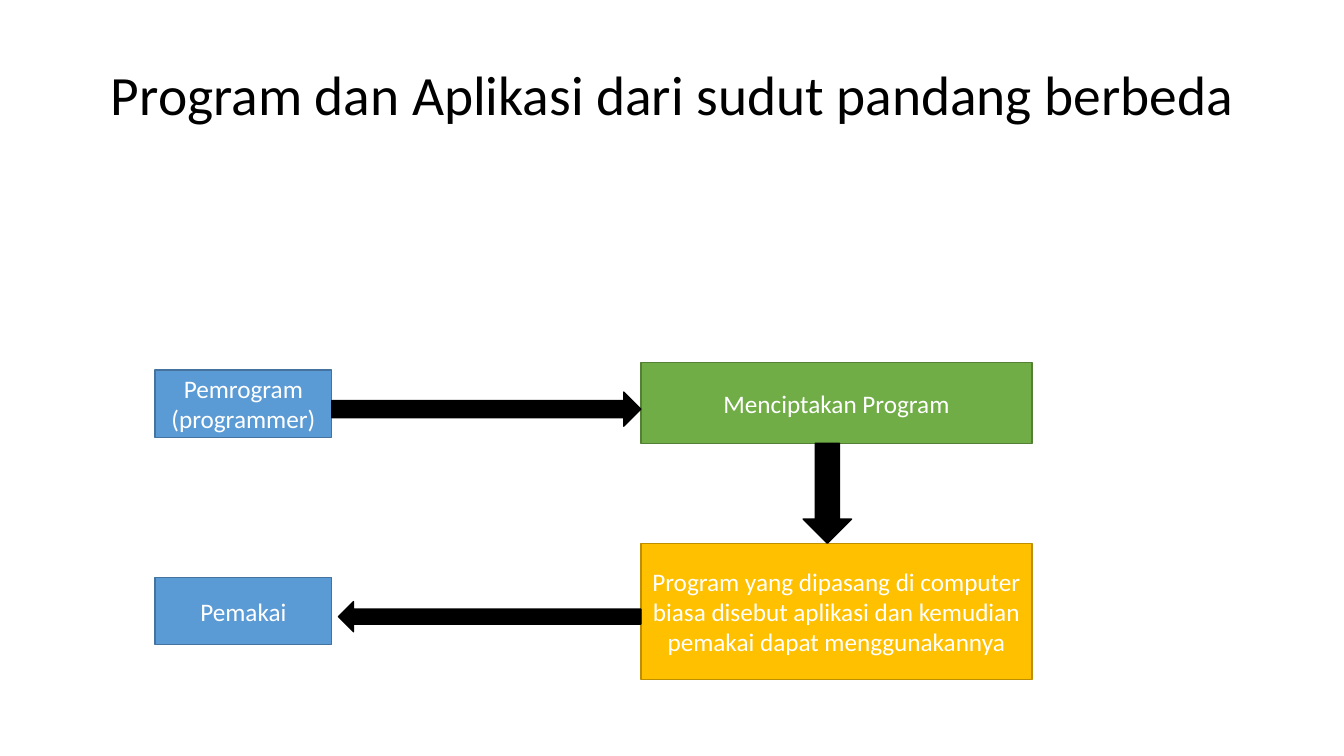
from dataclasses import dataclass

from pptx import Presentation
from pptx.dml.color import RGBColor
from pptx.enum.shapes import MSO_SHAPE
from pptx.enum.text import MSO_ANCHOR, PP_ALIGN
from pptx.shapes.autoshape import Shape
from pptx.slide import Slide
from pptx.text.text import TextFrame
from pptx.util import Cm, Pt


@dataclass(frozen=True)
class Theme:
    font: str = "Calibri"
    title_size: float = 39.6
    body_size: float = 18
    line_width: float = 1
    black: str = "000000"
    white: str = "FFFFFF"
    blue: str = "5B9BD5"
    blue_line: str = "43739E"
    green: str = "70AD47"
    green_line: str = "538035"
    gold: str = "FFC000"
    gold_line: str = "BD8E00"


@dataclass(frozen=True)
class Area:
    """A rectangle on the slide, in centimetres."""
    left: float
    top: float
    width: float
    height: float

    @property
    def right(self) -> float:
        return self.left + self.width

    @property
    def bottom(self) -> float:
        return self.top + self.height

    def lengths(self) -> tuple[Cm, Cm, Cm, Cm]:
        return Cm(self.left), Cm(self.top), Cm(self.width), Cm(self.height)


@dataclass(frozen=True)
class Box:
    text: str
    area: Area
    fill: str
    line: str


@dataclass(frozen=True)
class Arrow:
    kind: MSO_SHAPE
    area: Area


THEME = Theme()
TITLE_AREA = Area(2.34, 1.02, 29.21, 2.9)

PROGRAMMER = Area(3.91, 9.32, 4.45, 1.7)
USER = Area(3.91, 14.55, 4.45, 1.7)
CREATION = Area(16.15, 9.14, 9.86, 2.03)
APPLICATION = Area(16.15, 13.69, 9.86, 3.43)
USER_GAP = 0.17

BOXES = [
    Box("Pemrogram (programmer)", PROGRAMMER, THEME.blue, THEME.blue_line),
    Box("Menciptakan Program", CREATION, THEME.green, THEME.green_line),
    Box("Program yang dipasang di computer biasa disebut aplikasi "
        "dan kemudian pemakai dapat menggunakannya",
        APPLICATION, THEME.gold, THEME.gold_line),
    Box("Pemakai", USER, THEME.blue, THEME.blue_line),
]

ARROWS = [
    Arrow(MSO_SHAPE.RIGHT_ARROW,
          Area(PROGRAMMER.right, 9.88, CREATION.left - PROGRAMMER.right, 0.86)),
    Arrow(MSO_SHAPE.DOWN_ARROW,
          Area(20.24, CREATION.bottom, 1.22, APPLICATION.top - CREATION.bottom)),
    Arrow(MSO_SHAPE.LEFT_ARROW,
          Area(USER.right + USER_GAP, 15.16,
               APPLICATION.left - USER.right - USER_GAP, 0.76)),
]


def write_centred(frame: TextFrame, text: str, size: float, color: str,
                  line_spacing: float = 1.0) -> None:
    frame.word_wrap = True
    frame.vertical_anchor = MSO_ANCHOR.MIDDLE
    paragraph = frame.paragraphs[0]
    paragraph.alignment = PP_ALIGN.CENTER
    paragraph.line_spacing = line_spacing
    run = paragraph.add_run()
    run.text = text
    run.font.name = THEME.font
    run.font.size = Pt(size)
    run.font.color.rgb = RGBColor.from_string(color)


def add_filled_shape(slide: Slide, kind: MSO_SHAPE, area: Area,
                     fill: str, line: str) -> Shape:
    shape = slide.shapes.add_shape(kind, *area.lengths())
    shape.shadow.inherit = False
    shape.fill.solid()
    shape.fill.fore_color.rgb = RGBColor.from_string(fill)
    shape.line.color.rgb = RGBColor.from_string(line)
    shape.line.width = Pt(THEME.line_width)
    return shape


def add_title(slide: Slide, text: str) -> None:
    title = slide.shapes.add_textbox(*TITLE_AREA.lengths())
    write_centred(title.text_frame, text, THEME.title_size, THEME.black, 0.9)


def add_box(slide: Slide, box: Box) -> None:
    shape = add_filled_shape(slide, MSO_SHAPE.RECTANGLE, box.area, box.fill, box.line)
    write_centred(shape.text_frame, box.text, THEME.body_size, THEME.white)


def add_arrow(slide: Slide, arrow: Arrow) -> None:
    add_filled_shape(slide, arrow.kind, arrow.area, THEME.black, THEME.black)


def main() -> None:
    presentation = Presentation()
    presentation.slide_width = Cm(33.87)
    presentation.slide_height = Cm(19.05)
    slide = presentation.slides.add_slide(presentation.slide_layouts[6])
    add_title(slide, "Program dan Aplikasi dari sudut pandang berbeda")
    for box in BOXES:
        add_box(slide, box)
    for arrow in ARROWS:
        add_arrow(slide, arrow)
    presentation.save("out.pptx")


if __name__ == "__main__":
    main()
